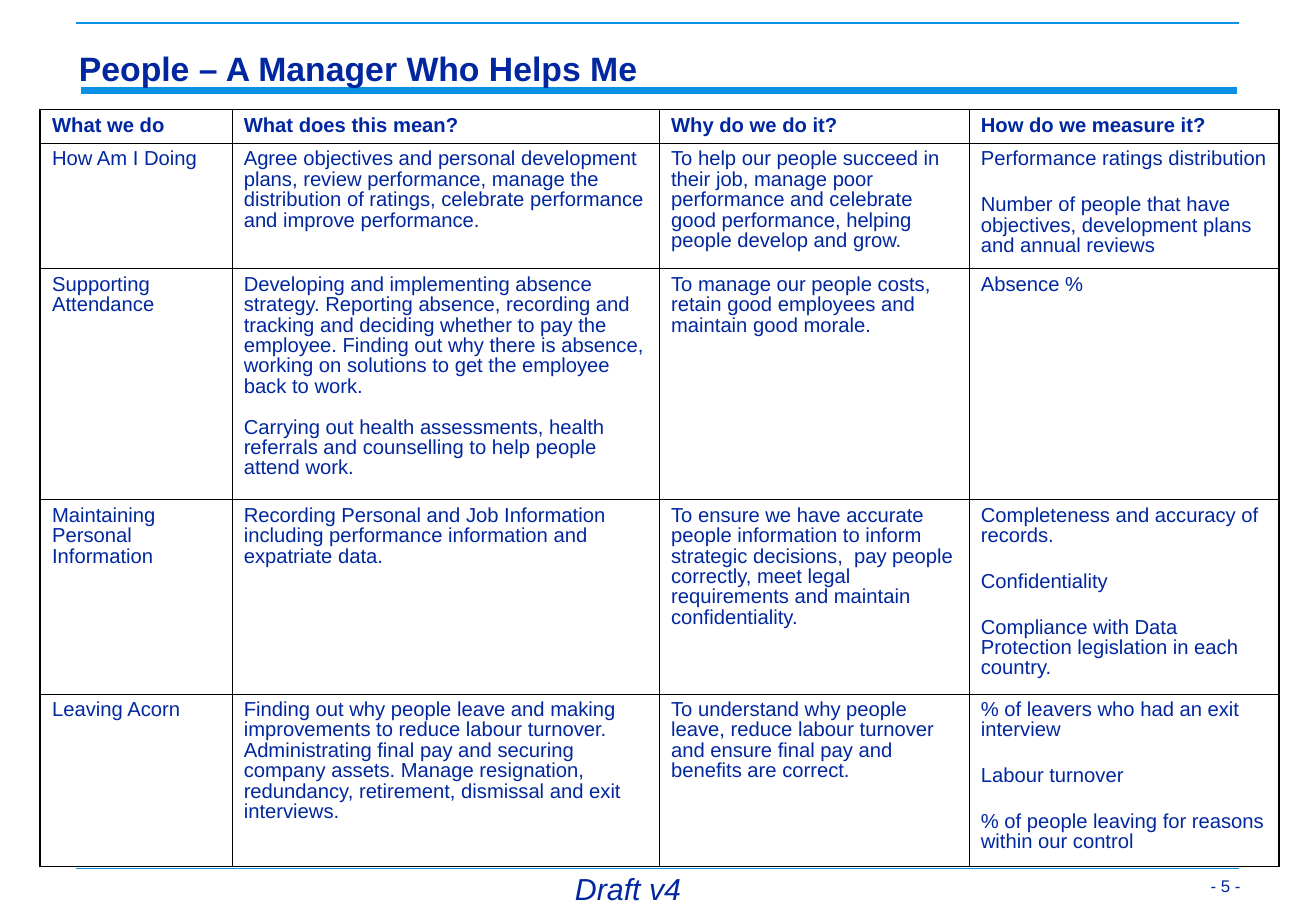
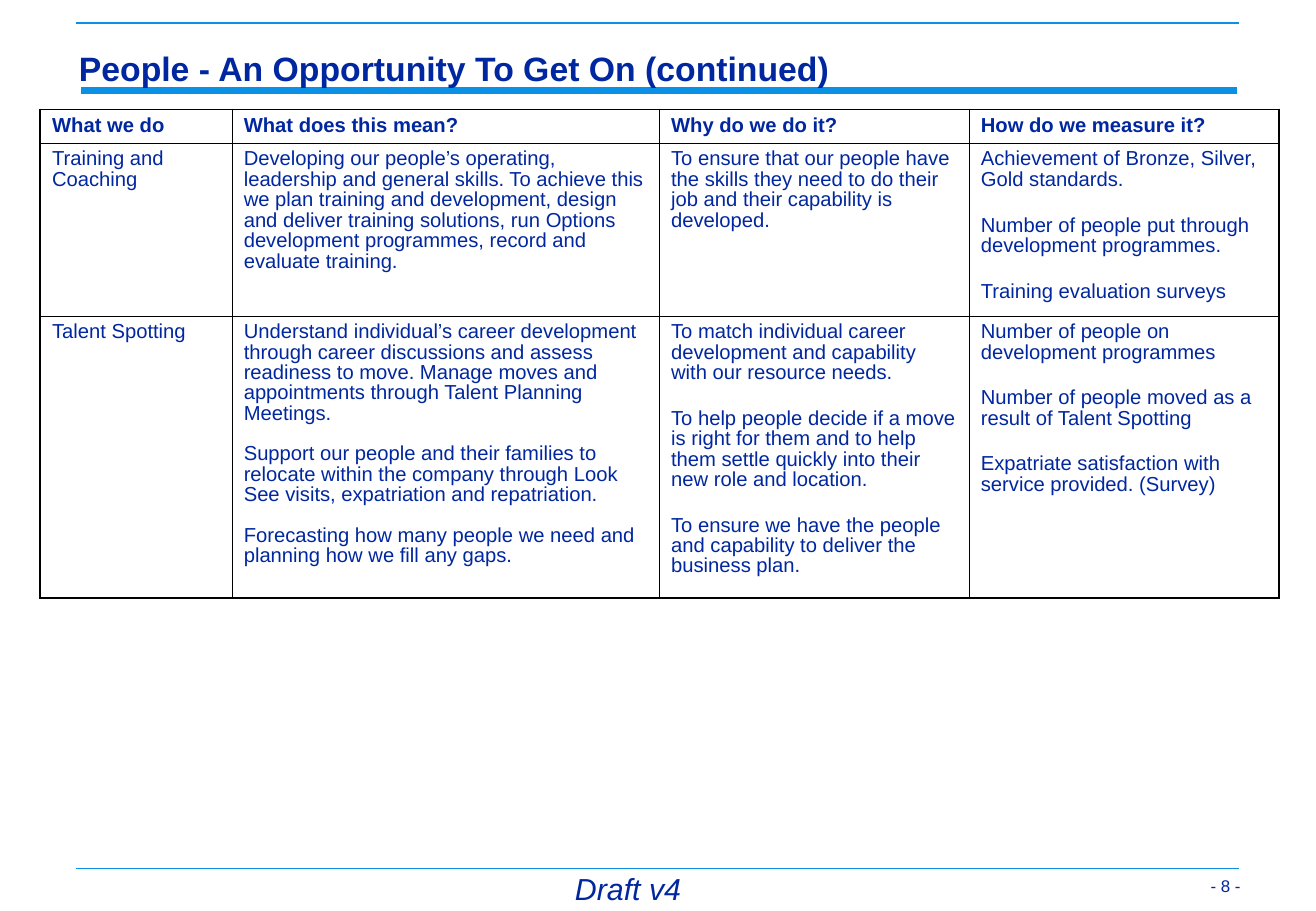
from lxml import etree
from pptx import Presentation
from pptx.dml.color import RGBColor
from pptx.enum.shapes import MSO_CONNECTOR
from pptx.enum.text import MSO_ANCHOR, MSO_AUTO_SIZE, PP_ALIGN
from pptx.oxml.ns import qn
from pptx.util import Cm, Pt

STRAIGHT = MSO_CONNECTOR.STRAIGHT
TOP, BOTTOM = MSO_ANCHOR.TOP, MSO_ANCHOR.BOTTOM
NO_AUTOFIT = MSO_AUTO_SIZE.NONE
LEFT, CENTER, RIGHT = PP_ALIGN.LEFT, PP_ALIGN.CENTER, PP_ALIGN.RIGHT

NAVY = RGBColor(0x00, 0x27, 0x9F)
SKY = RGBColor(0x0A, 0x91, 0xE6)
BLACK = RGBColor(0x00, 0x00, 0x00)
FONT = "Arial"

TITLE_BOX = (1.47, 0.84, 24.46, 1.12)
PAGE_BOX = (24.61, 17.83, 1.52, 0.99)
DRAFT_BOX = (10.13, 18.16, 6.02, 0.94)
RULES = [(1.7, 25.88, 1.9, 4), (1.6, 25.91, 0.48, 1), (1.6, 25.91, 18.16, 1)]

COL_WIDTHS = (4.01, 8.94, 6.48, 6.48)
COL_GAPS = (15, 12, 15, 15)
HEADER_HEIGHT = 0.71
HEADINGS = [["What we do"], ["What does this mean?"], ["Why do we do it?"],
            ["How do we measure it?"]]
THIN, THICK = Pt(0.45), Pt(1.08)

MANAGER_ROWS = [
    (2.62, [
        ["How Am I Doing"],
        ["Agree objectives and personal development plans, review performance, "
         "manage the distribution of ratings, celebrate performance and improve "
         "performance."],
        ["To help our people succeed in their job, manage poor performance and "
         "celebrate good performance, helping people develop and grow."],
        ["Performance ratings distribution",
         "Number of people that have objectives, development plans and annual reviews"],
    ]),
    (4.83, [
        ["Supporting Attendance"],
        ["Developing and implementing absence strategy. Reporting absence, recording "
         "and tracking and deciding whether to pay the employee. Finding out why there "
         "is absence, working on solutions to get the employee back to work.",
         "Carrying out health assessments, health referrals and counselling to help "
         "people attend work."],
        ["To manage our people costs, retain good employees and maintain good morale."],
        ["Absence %"],
    ]),
    (4.06, [
        ["Maintaining Personal Information"],
        ["Recording Personal and Job Information including performance information "
         "and expatriate data."],
        ["To ensure we have accurate people information to inform strategic decisions,  "
         "pay people correctly, meet legal requirements and maintain confidentiality."],
        ["Completeness and accuracy of records.",
         "Confidentiality",
         "Compliance with Data Protection legislation in each country."],
    ]),
    (3.61, [
        ["Leaving Acorn"],
        ["Finding out why people leave and making improvements to reduce labour "
         "turnover. Administrating final pay and securing company assets. Manage "
         "resignation, redundancy, retirement, dismissal and exit interviews."],
        ["To understand why people leave, reduce labour turnover and ensure final pay "
         "and benefits are correct."],
        ["% of leavers who had an exit interview",
         "Labour turnover",
         "% of people leaving for reasons within our control"],
    ]),
]

OPPORTUNITY_ROWS = [
    (3.61, [
        ["Training and Coaching"],
        ["Developing our people’s operating, leadership and general skills. To achieve "
         "this we plan training and development, design and deliver training solutions, "
         "run Options development programmes, record and evaluate training."],
        ["To ensure that our people have the skills they need to do their job and their "
         "capability is developed."],
        ["Achievement of Bronze, Silver, Gold standards.",
         "Number of people put through development programmes.",
         "Training evaluation surveys"],
    ]),
    (5.89, [
        ["Talent Spotting"],
        ["Understand individual’s career development through career discussions and "
         "assess readiness to move. Manage moves and appointments through Talent "
         "Planning Meetings.",
         "Support our people and their families to relocate within the company through "
         "Look See visits, expatriation and repatriation.",
         "Forecasting how many people we need and planning how we fill any gaps."],
        ["To match individual career development and capability with our resource needs.",
         "To help people decide if a move is right for them and to help them settle "
         "quickly into their new role and location.",
         "To ensure we have the people and capability to deliver the business plan."],
        ["Number of people on development programmes",
         "Number of people moved as a result of Talent Spotting",
         "Expatriate satisfaction with service provided. (Survey)"],
    ]),
]


def write(tf, texts, size, bold=False, italic=False, align=LEFT, spacing=0.9, gap=0):
    for i, text in enumerate(texts):
        p = tf.add_paragraph() if i else tf.paragraphs[0]
        p.text = text
        p.alignment = align
        p.line_spacing = spacing
        p.space_before = Pt(gap if i else 0)
        p.font.name, p.font.size = FONT, Pt(size)
        p.font.bold, p.font.italic = bold, italic
        p.font.color.rgb = NAVY


def set_frame(tf, inset_x, inset_y, anchor):
    tf.word_wrap = True
    tf.auto_size = NO_AUTOFIT
    tf.vertical_anchor = anchor
    tf.margin_left = tf.margin_right = Cm(inset_x)
    tf.margin_top = tf.margin_bottom = Cm(inset_y)


def add_text(s, box, text, size, inset=(0.25, 0.13), anchor=TOP, **style):
    sp = s.shapes.add_textbox(*map(Cm, box))
    set_frame(sp.text_frame, *inset, anchor)
    write(sp.text_frame, [text], size, **style)
    return sp


def add_rule(s, x1, x2, y, width):
    line = s.shapes.add_connector(STRAIGHT, Cm(x1), Cm(y), Cm(x2), Cm(y))
    line.line.color.rgb = SKY
    line.line.width = Pt(width)
    etree.SubElement(line.element.spPr, qn("a:effectLst"))
    return line


def move_to_layout(shapes, layout):
    for i, sp in enumerate(shapes):
        sp.element.xpath(".//p:cNvPr")[0].set("id", str(100 + i))
        layout.shapes.element.append(sp.element)


def add_frame(s):
    shapes = [add_rule(s, *rule) for rule in RULES]
    shapes.append(add_text(s, DRAFT_BOX, "Draft v4", 18, italic=True, align=CENTER))
    move_to_layout(shapes, s.slide_layout)


def set_title(s, text):
    title = s.shapes.title
    title.left, title.top, title.width, title.height = map(Cm, TITLE_BOX)
    set_frame(title.text_frame, 0.18, 0.08, BOTTOM)
    write(title.text_frame, [text], 20, bold=True, spacing=0.97)


def set_border(cell, side, width):
    ln = etree.SubElement(cell._tc.get_or_add_tcPr(), qn(f"a:ln{side}"), w=str(width))
    fill = etree.SubElement(ln, qn("a:solidFill"))
    etree.SubElement(fill, qn("a:srgbClr"), val=str(BLACK))


def add_grid(s, body):
    rows = [(HEADER_HEIGHT, HEADINGS)] + body
    heights = [height for height, _ in rows]
    frame = s.shapes.add_table(len(rows), len(COL_WIDTHS), Cm(0.84), Cm(2.29),
                               Cm(sum(COL_WIDTHS)), Cm(sum(heights)))
    table = frame.table
    table.first_row = table.horz_banding = False
    for column, width in zip(table.columns, COL_WIDTHS):
        column.width = Cm(width)
    last_row, last_col = len(rows) - 1, len(COL_WIDTHS) - 1
    for r, (height, cells) in enumerate(rows):
        table.rows[r].height = Cm(height)
        for c, texts in enumerate(cells):
            cell = table.cell(r, c)
            cell.margin_left = cell.margin_right = Cm(0.25)
            cell.margin_top = cell.margin_bottom = Cm(0.13)
            write(cell.text_frame, texts, 12, bold=r == 0, gap=COL_GAPS[c])
            outer = {"L": c == 0, "R": c == last_col, "T": r == 0, "B": r == last_row}
            for side, is_outer in outer.items():
                set_border(cell, side, THICK if is_outer else THIN)
            cell.fill.background()


def add_page(prs, title, number, body):
    s = prs.slides.add_slide(prs.slide_layouts[5])
    set_title(s, title)
    add_text(s, PAGE_BOX, f"- {number} -", 10, inset=(0.18, 0.08), anchor=BOTTOM,
             align=RIGHT, spacing=1.0)
    add_grid(s, body)
    return s


def main():
    prs = Presentation()
    prs.slide_width, prs.slide_height = Cm(27.53), Cm(19.05)
    s = add_page(prs, "People – A Manager Who Helps Me", 5, MANAGER_ROWS)
    add_frame(s)
    add_page(prs, "People - An Opportunity To Get On (continued)", 8, OPPORTUNITY_ROWS)
    prs.save("out.pptx")


if __name__ == "__main__":
    main()
